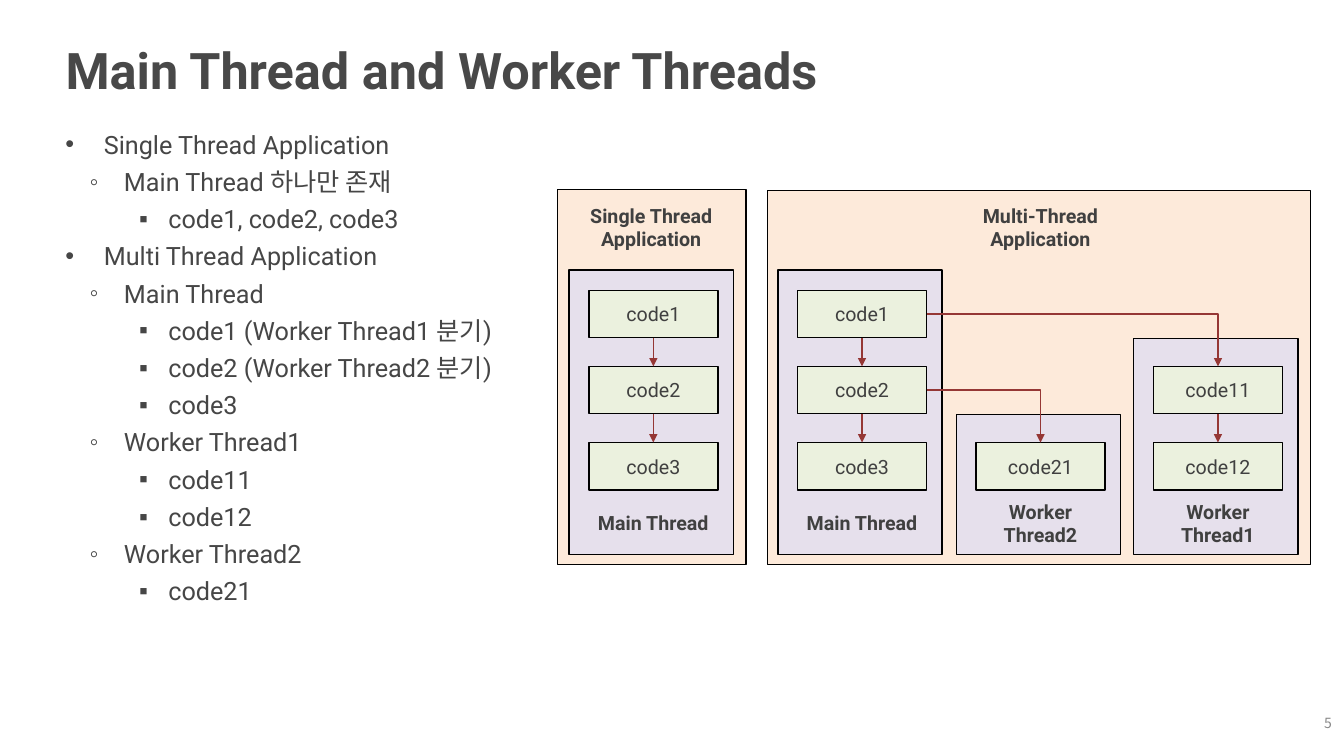
from lxml.etree import SubElement
from pptx import Presentation
from pptx.dml.color import RGBColor
from pptx.enum.shapes import MSO_CONNECTOR, MSO_SHAPE
from pptx.enum.text import MSO_ANCHOR, MSO_AUTO_SIZE, PP_ALIGN
from pptx.oxml.ns import qn
from pptx.util import Inches, Pt

# Content
TITLE = "Main Thread and Worker Threads"
PAGE_NUMBER = "5"
OUTLINE = [
    (0, "Single Thread Application"),
    (1, "Main Thread 하나만 존재"),
    (2, "code1, code2, code3"),
    (0, "Multi Thread Application"),
    (1, "Main Thread"),
    (2, "code1 (Worker Thread1 분기)"),
    (2, "code2 (Worker Thread2 분기)"),
    (2, "code3"),
    (1, "Worker Thread1"),
    (2, "code11"),
    (2, "code12"),
    (1, "Worker Thread2"),
    (2, "code21"),
]
# Application: heading lines, heading centre, frame (left, top, width, height)
APPLICATIONS = [
    (["Single Thread", "Application"], 6.46, (5.53, 1.88, 1.87, 3.72)),
    (["Multi-Thread", "Application"], 10.32, (7.61, 1.89, 5.39, 3.71)),
]
# Thread: label lines, column centre, panel top, first grid row, code steps
THREADS = [
    (["Main Thread"], 6.48, 2.68, 0, ["code1", "code2", "code3"]),
    (["Main Thread"], 8.55, 2.68, 0, ["code1", "code2", "code3"]),
    (["Worker", "Thread2"], 10.32, 4.11, 2, ["code21"]),
    (["Worker", "Thread1"], 12.08, 3.36, 1, ["code11", "code12"]),
]
# Branch: (thread, step) that starts the first step of a worker thread
BRANCHES = [((1, 0), 3), ((1, 1), 2)]

# Style
LATIN_FONT, KOREAN_FONT = "Roboto", "Noto Sans CJK KR"
TITLE_COLOR = RGBColor(0x48, 0x48, 0x48)
BODY_COLOR = RGBColor(0x46, 0x46, 0x46)
LABEL_COLOR = RGBColor(0x40, 0x40, 0x40)
NUMBER_COLOR = RGBColor(0x88, 0x88, 0x88)
FRAME_FILL = RGBColor(0xFD, 0xEA, 0xDA)
PANEL_FILL = RGBColor(0xE6, 0xE0, 0xEC)
CODE_FILL = RGBColor(0xEB, 0xF1, 0xDE)
BORDER = RGBColor(0, 0, 0)
ARROW_COLOR = RGBColor(0x95, 0x37, 0x35)
BULLETS = [("•", 0.38, -0.38), ("◦", 0.58, -0.34), ("▪", 1.02, -0.29)]

# Grid of code boxes, in inches
ROW_TOP, ROW_PITCH = 2.88, 0.755
CODE_WIDTH, CODE_HEIGHT = 1.28, 0.47
PANEL_WIDTH, PANEL_BOTTOM, PANEL_SHIFT = 1.63, 5.5, -0.02
HEADING_MIDDLE, LABEL_MIDDLE = 2.255, 5.19
LABEL_WIDTH, LABEL_LINE = 1.46, 0.28
TOP, BOTTOM, RIGHT = 0, 2, 3  # connection sites of a rectangle

presentation = Presentation()
presentation.slide_width, presentation.slide_height = Inches(13.33), Inches(7.5)
slide = presentation.slides.add_slide(presentation.slide_layouts[5])


def set_frame(shape, anchor=MSO_ANCHOR.MIDDLE, wrap=True):
    frame = shape.text_frame
    frame.auto_size = MSO_AUTO_SIZE.NONE
    frame.word_wrap = wrap
    frame.vertical_anchor = anchor
    frame.margin_left = frame.margin_right = Inches(0.05)
    frame.margin_top = frame.margin_bottom = Inches(0.05)
    return frame


def write(frame, lines, size, color, bold=False, align=PP_ALIGN.CENTER, font=LATIN_FONT):
    for index, text in enumerate(lines):
        paragraph = frame.add_paragraph() if index else frame.paragraphs[0]
        paragraph.alignment = align
        run = paragraph.add_run()
        run.text = text
        run.font.size, run.font.bold, run.font.name = Pt(size), bold, font
        run.font.color.rgb = color
        SubElement(run.font._element, qn("a:ea"), typeface=KOREAN_FONT)


def add_text_box(left, top, width, height, **options):
    box = slide.shapes.add_textbox(*map(Inches, (left, top, width, height)))
    return set_frame(box, **options)


def add_label(lines, center, middle):
    height = LABEL_LINE * len(lines)
    frame = add_text_box(center - LABEL_WIDTH / 2, middle - height / 2,
                         LABEL_WIDTH, height, wrap=False)
    write(frame, lines, 14, LABEL_COLOR, bold=True)


def add_box(left, top, width, height, fill):
    box = slide.shapes.add_shape(MSO_SHAPE.RECTANGLE,
                                 *map(Inches, (left, top, width, height)))
    box.shadow.inherit = False
    box.fill.solid()
    box.fill.fore_color.rgb = fill
    box.line.color.rgb, box.line.width = BORDER, Pt(1)
    return box


def add_arrow(start, start_site, end, bent=False):
    kind = MSO_CONNECTOR.ELBOW if bent else MSO_CONNECTOR.STRAIGHT
    arrow = slide.shapes.add_connector(kind, 0, 0, 0, 0)
    arrow.begin_connect(start, start_site)
    arrow.end_connect(end, TOP)
    arrow.line.color.rgb, arrow.line.width = ARROW_COLOR, Pt(1)
    properties = arrow._element.spPr
    if bent:
        properties.find(qn("a:prstGeom")).set("prst", "bentConnector2")
    SubElement(properties.find(qn("a:ln")), qn("a:tailEnd"), type="triangle")
    SubElement(properties, qn("a:effectLst"))


# Title
title = slide.shapes.title
title.left, title.top, title.width, title.height = map(Inches, (0.6, 0.29, 12.08, 0.79))
write(set_frame(title), [TITLE], 36, TITLE_COLOR, bold=True, align=PP_ALIGN.LEFT)

# Outline with three bullet levels
outline = add_text_box(0.6, 1.23, 4.93, 5.91, anchor=MSO_ANCHOR.TOP)
write(outline, [text for _, text in OUTLINE], 18, BODY_COLOR, align=PP_ALIGN.LEFT)
for paragraph, (level, _) in zip(outline.paragraphs, OUTLINE):
    bullet, margin, indent = BULLETS[level]
    paragraph.level = level
    paragraph.space_before = Pt(5)
    properties = paragraph._element.get_or_add_pPr()
    properties.set("marL", str(Inches(margin)))
    properties.set("indent", str(Inches(indent)))
    SubElement(properties, qn("a:buFont"), typeface="Arial")
    SubElement(properties, qn("a:buChar"), char=bullet)

# Application frames
for heading, center, bounds in APPLICATIONS:
    add_box(*bounds, FRAME_FILL)
    add_label(heading, center, HEADING_MIDDLE)

# Thread panels with their code steps
steps = []
for label, center, panel_top, first_row, codes in THREADS:
    add_box(center - PANEL_WIDTH / 2 + PANEL_SHIFT, panel_top,
            PANEL_WIDTH, PANEL_BOTTOM - panel_top, PANEL_FILL)
    add_label(label, center, LABEL_MIDDLE)
    boxes = []
    for row, code in enumerate(codes, first_row):
        box = add_box(center - CODE_WIDTH / 2, ROW_TOP + row * ROW_PITCH,
                      CODE_WIDTH, CODE_HEIGHT, CODE_FILL)
        write(set_frame(box), [code], 14, LABEL_COLOR)
        boxes.append(box)
    steps.append(boxes)

# Arrows within threads, then branches to the workers
for boxes in steps:
    for upper, lower in zip(boxes, boxes[1:]):
        add_arrow(upper, BOTTOM, lower)
for (thread, step), worker in BRANCHES:
    add_arrow(steps[thread][step], RIGHT, steps[worker][0], bent=True)

# Page number
write(add_text_box(12.68, 7.04, 0.58, 0.27), [PAGE_NUMBER], 10, NUMBER_COLOR,
      align=PP_ALIGN.RIGHT, font=KOREAN_FONT)

presentation.save("out.pptx")
